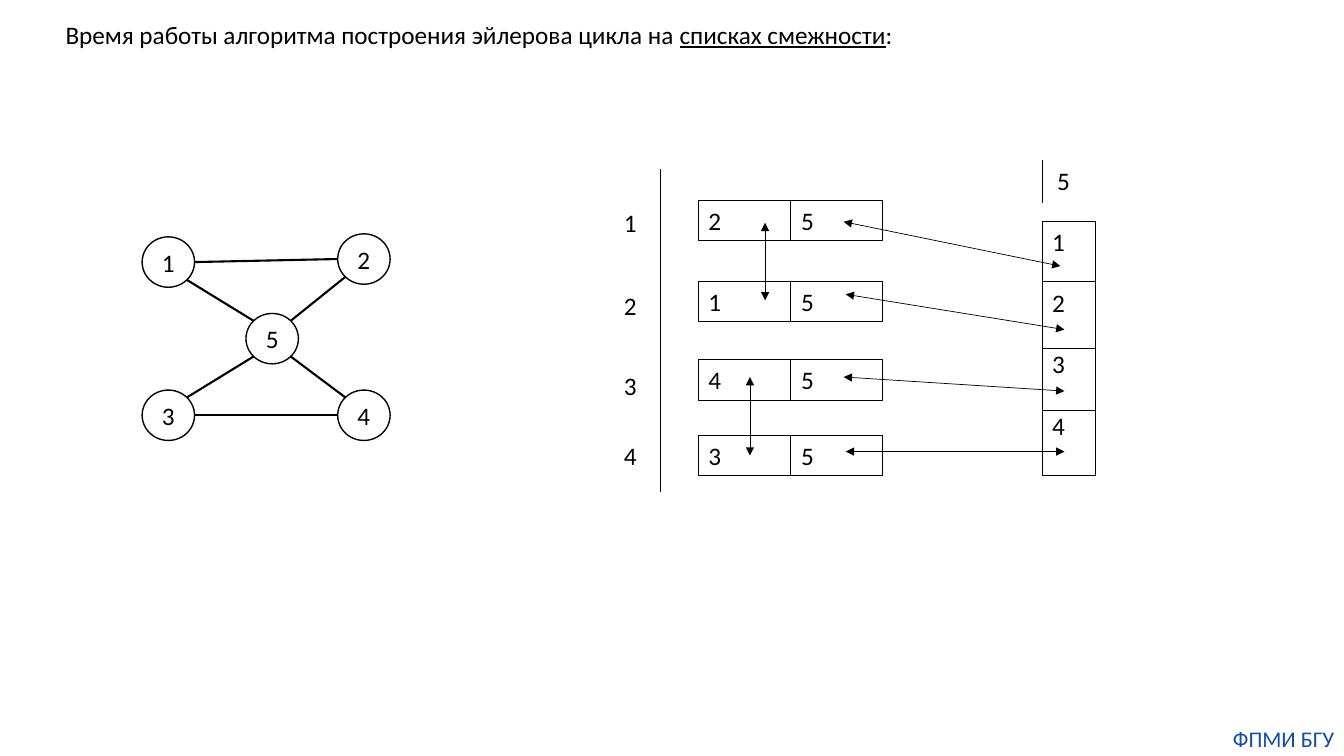
import math
from dataclasses import dataclass

import pptx
import pptx.dml.color
import pptx.enum.shapes
import pptx.enum.text
import pptx.oxml
import pptx.oxml.ns
import pptx.util
from lxml import etree

SHAPES = pptx.enum.shapes.MSO_SHAPE
ALIGN = pptx.enum.text.PP_ALIGN
ANCHOR = pptx.enum.text.MSO_ANCHOR


@dataclass(frozen=True)
class Theme:
    ink: str = "000000"
    accent: str = "144E9D"
    font: str = "Calibri"
    body: float = 18
    footer: float = 16
    edge: float = 1.5
    node: float = 1
    frame: float = 0.75
    thin: float = 0.5


THEME = Theme()

# The slide is a grid of square cells, ten to the inch
COLUMNS, ROWS = 133.33, 75
NODE_WIDTH, NODE_HEIGHT = 5.2, 5

# Graph: vertex centres, and edges with the angle at which each leaves its start
VERTICES = {"1": (16.7, 26), "2": (36.1, 25.7), "3": (16.7, 41.2),
            "4": (36.1, 41.2), "5": (27, 33.6)}
EDGES = [("1", "2", 0), ("3", "4", 0), ("1", "5", 45),
         ("5", "4", 45), ("2", "5", 135), ("5", "3", 135)]

# Adjacency lists: vertex, label top, row top, neighbours
LISTS = [("1", 20.1, 19.9, "2\t5"), ("2", 28.3, 27.9, "1\t5"),
         ("3", 36.2, 35.7, "4\t5"), ("4", 43.2, 43.2, "3\t5")]
LIST_LEFT, LIST_WIDTH, LIST_HEIGHT = 69.3, 18.3, 4
LAST_LEFT, LAST_TOP, LAST_WIDTH, LAST_HEIGHT = 103.4, 22, 5.3, 25.2
LAST_DIVIDERS = [27.9, 34.6, 40.7]

# Arrows join the two records of the same edge
TWIN_ARROWS = [
    ((75.9, 22.1), (75.9, 29.8)), ((74.4, 37.4), (74.4, 45.2)),
    ((83.7, 22), (105.2, 26.4)), ((83.9, 29.2), (105.6, 32.7)),
    ((83.7, 37.4), (105.6, 38.8)), ((83.9, 44.8), (105.6, 44.8)),
]


def cells(count):
    return pptx.util.Inches(round(count / 10, 3))


def colour(value):
    return pptx.dml.color.RGBColor.from_string(value)


def style_font(font, size=THEME.body, ink=THEME.ink):
    font.name = THEME.font
    font.size = pptx.util.Pt(size)
    font.color.rgb = colour(ink)


def add_tab_stop(para, position):
    stops = etree.SubElement(para._p.get_or_add_pPr(), pptx.oxml.ns.qn("a:tabLst"))
    etree.SubElement(stops, pptx.oxml.ns.qn("a:tab"), pos=str(cells(position)), algn="l")


def write(frame, lines, align=ALIGN.LEFT, gap=0, tab=None, **font):
    for index, line in enumerate(lines):
        para = frame.add_paragraph() if index else frame.paragraphs[0]
        para.text = line
        para.alignment = align
        if index and gap:
            para.space_before = pptx.util.Pt(gap)
        if tab:
            add_tab_stop(para, tab)
        style_font(para.font, **font)


def add_outline(page, kind, left, top, width, height, weight):
    shape = page.shapes.add_shape(kind, *map(cells, (left, top, width, height)))
    shape.shadow.inherit = False
    shape.fill.background()
    shape.line.color.rgb = colour(THEME.ink)
    shape.line.width = pptx.util.Pt(weight)
    return shape


def add_line(page, start, end, weight=THEME.thin, arrows=False):
    line = page.shapes.add_connector(
        pptx.enum.shapes.MSO_CONNECTOR.STRAIGHT, *map(cells, (*start, *end)))
    line.line.color.rgb = colour(THEME.ink)
    line.line.width = pptx.util.Pt(weight)
    if arrows:
        for end_name in ("a:headEnd", "a:tailEnd"):
            etree.SubElement(line.line._get_or_add_ln(),
                             pptx.oxml.ns.qn(end_name), type="triangle")
    etree.SubElement(line._element.spPr, pptx.oxml.ns.qn("a:effectLst"))


def add_label(page, text, left, top):
    box = page.shapes.add_textbox(*map(cells, (left, top, 3.3, 4)))
    box.text_frame.word_wrap = False
    write(box.text_frame, [text])


def add_node(page, text, centre):
    x, y = centre
    node = add_outline(page, SHAPES.OVAL, x - NODE_WIDTH / 2, y - NODE_HEIGHT / 2,
                       NODE_WIDTH, NODE_HEIGHT, THEME.node)
    node.text_frame.vertical_anchor = ANCHOR.MIDDLE
    write(node.text_frame, [text], ALIGN.CENTER)


def rim_point(centre, degrees):
    angle = math.radians(degrees)
    return (centre[0] + NODE_WIDTH / 2 * math.cos(angle),
            centre[1] + NODE_HEIGHT / 2 * math.sin(angle))


def add_record(page, left, top, width, height, lines, **style):
    record = add_outline(page, SHAPES.RECTANGLE, left, top, width, height, THEME.frame)
    record.text_frame.vertical_anchor = ANCHOR.TOP
    write(record.text_frame, lines, **style)


def fill_title(page):
    title = page.shapes.title
    title.left, title.top, title.width, title.height = map(cells, (5.5, 1.4, 85, 4))
    frame = title.text_frame
    frame.auto_size = pptx.enum.text.MSO_AUTO_SIZE.NONE
    frame.word_wrap = False
    frame.vertical_anchor = ANCHOR.TOP
    para = frame.paragraphs[0]
    para.alignment = ALIGN.LEFT
    para.line_spacing = 1.0
    for text, underlined in [
            ("Время работы алгоритма построения эйлерова цикла на ", False),
            ("списках смежности", True), (":", False)]:
        span = para.add_run()
        span.text = text
        style_font(span.font)
        span.font.underline = underlined


def add_footer(page):
    box = page.shapes.add_textbox(*map(cells, (121.7, 71.9, 11.3, 2.7)))
    frame = box.text_frame
    frame.word_wrap = True
    frame.margin_left = frame.margin_right = frame.margin_top = frame.margin_bottom = 0
    write(frame, ["ФПМИ БГУ"], ALIGN.CENTER, size=THEME.footer, ink=THEME.accent)


def draw_graph(page):
    for name, centre in VERTICES.items():
        add_node(page, name, centre)
    for start, end, angle in EDGES:
        add_line(page, rim_point(VERTICES[start], angle),
                 rim_point(VERTICES[end], angle + 180), THEME.edge)


def draw_lists(page):
    # Lists of vertices 1 to 4
    add_line(page, (65.5, 16.8), (65.5, 48.8))
    middle = LIST_LEFT + LIST_WIDTH / 2
    for vertex, label_top, top, neighbours in LISTS:
        add_label(page, vertex, 60.9, label_top)
        add_record(page, LIST_LEFT, top, LIST_WIDTH, LIST_HEIGHT, [neighbours], tab=9.2)
        add_line(page, (middle, top), (middle, top + LIST_HEIGHT))

    # List of vertex 5
    add_line(page, (LAST_LEFT, 15.9), (LAST_LEFT, 20.1))
    add_label(page, "5", 103.9, 15.9)
    add_record(page, LAST_LEFT, LAST_TOP, LAST_WIDTH, LAST_HEIGHT, list("1234"), gap=22)
    for level in LAST_DIVIDERS:
        add_line(page, (LAST_LEFT, level), (LAST_LEFT + LAST_WIDTH, level))

    for start, end in TWIN_ARROWS:
        add_line(page, start, end, arrows=True)


def main():
    deck = pptx.Presentation()
    deck.slide_width, deck.slide_height = cells(COLUMNS), cells(ROWS)
    page = deck.slides.add_slide(deck.slide_layouts.get_by_name("Title Only"))
    fill_title(page)
    add_footer(page)
    draw_graph(page)
    draw_lists(page)
    deck.save("out.pptx")


if __name__ == "__main__":
    main()
